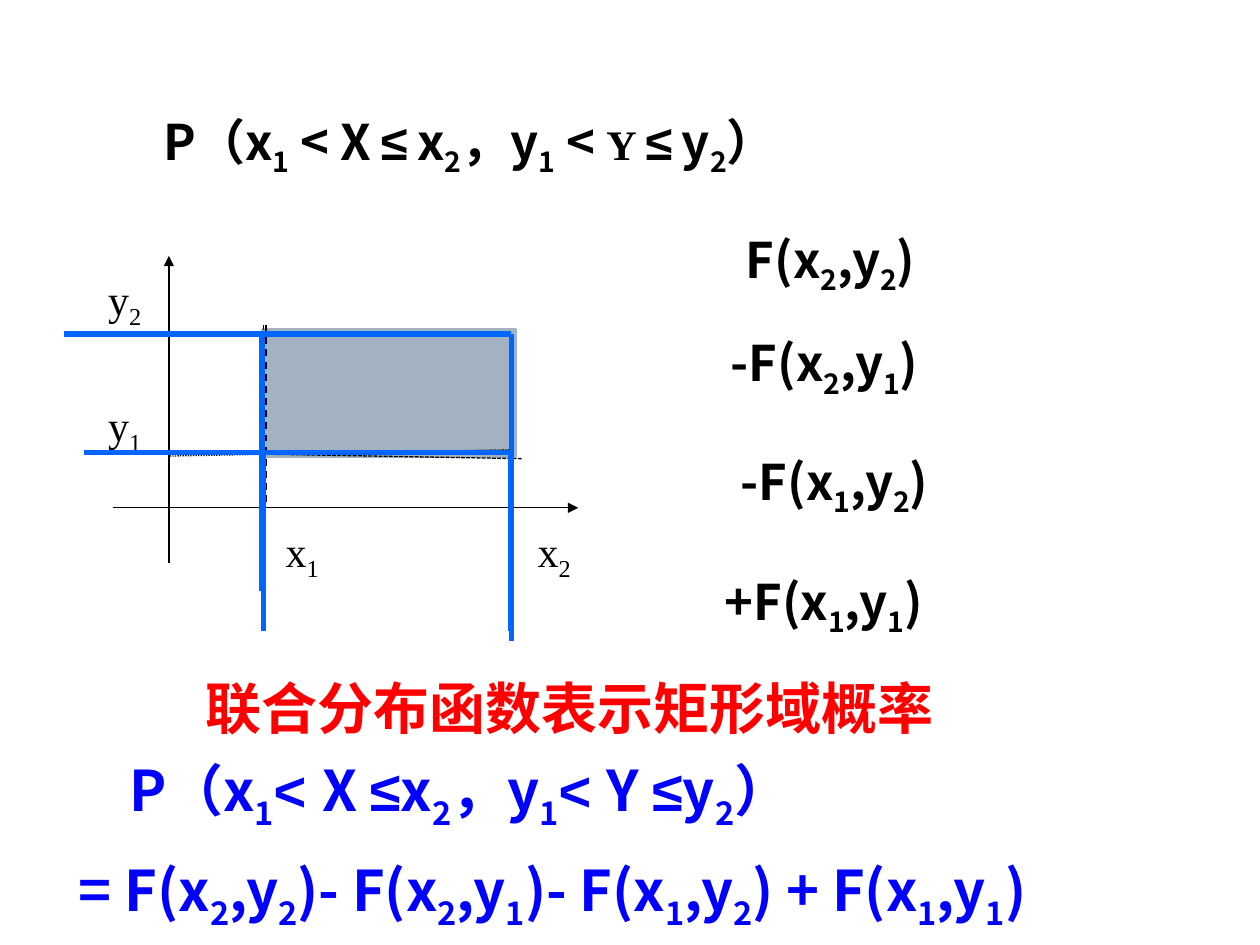
from lxml import etree
from pptx import Presentation
from pptx.dml.color import RGBColor
from pptx.enum.dml import MSO_LINE
from pptx.enum.shapes import MSO_CONNECTOR, MSO_SHAPE
from pptx.enum.text import MSO_ANCHOR, PP_ALIGN
from pptx.oxml.ns import qn
from pptx.util import Pt

STRAIGHT = MSO_CONNECTOR.STRAIGHT
RECTANGLE = MSO_SHAPE.RECTANGLE
DASH, SYSTEM_DASH, SYSTEM_DOT = MSO_LINE.DASH, MSO_LINE.SQUARE_DOT, MSO_LINE.ROUND_DOT
TOP, BOTTOM, LEFT = MSO_ANCHOR.TOP, MSO_ANCHOR.BOTTOM, PP_ALIGN.LEFT

SANS, TITLE_FONT = "Noto Sans CJK SC", "Noto Sans CJK JP"
SERIF, SYMBOL = "Times New Roman", "Arial"
BLACK, WHITE, RED, BLUE = "000000", "FFFFFF", "FF0000", "0000FF"
REGION_BLUE, GREY = "0066FF", "A3B2C1"

# Left end, corner x, corner y and bottom end of each region's boundary
REGIONS = [
    (36.7, 292.3, 190.8, 366.5),
    (48.2, 291.6, 258.5, 360.7),
    (48.2, 149.8, 190.8, 337.7),
    (48.2, 150.5, 258.5, 360.7),
]
AXIS_LABELS = [
    ("x_1", 156.2, 296.6, 41.8),
    ("x_2", 300.2, 296.6, 41.8),
    ("y_1", 54.7, 224.6, 36),
    ("y_2", 54.7, 152.6, 36),
]
TERMS = [
    ("F(x_2,y_2)", 382.3, 128.2, 213),
    ("-F(x_2,y_1)", 373.7, 187.2, 222),
    ("-F(x_1,y_2)", 379.4, 254.9, 222),
    ("+F(x_1,y_1)", 370.1, 323.3, 229),
]
SMALL_SPACE = (" ", SANS, 24)
PROBABILITY = [
    "P（x_1 < X", SMALL_SPACE, ("≤", SYMBOL, 28), SMALL_SPACE, "x_2，y_1 < ",
    ("Y ", SERIF, 24), ("≤", SYMBOL, 28), SMALL_SPACE, "y_2）",
]
RESULT_LEFT_SIDE = [
    "P（x_1", ("< ", SYMBOL, 32), "X ", ("≤", SYMBOL, 32), "x_2，y_1",
    ("< ", SYMBOL, 32), "Y ", ("≤", SYMBOL, 32), "y_2）",
]
RESULT_RIGHT_SIDE = ["= F(x_2,y_2)- F(x_2,y_1)- F(x_1,y_2) + F(x_1,y_1)"]


def color(value):
    return RGBColor.from_string(value)


def add_run(paragraph, text, font_name, size=None, subscript=False):
    run = paragraph.add_run()
    run.text = text
    run.font.name = font_name
    if size:
        run.font.size = Pt(size)
    properties = run.font._element if hasattr(run.font, "_element") else run._r.get_or_add_rPr()
    if subscript:
        properties.set("baseline", "-25000")
    east_asian = etree.SubElement(properties, qn("a:ea"))
    east_asian.set("typeface", font_name)


def write_formula(paragraph, pieces, font_name, size, fill, bold=True):
    """Write pieces, each a text or (text, font, size); "_" lowers the next character."""
    paragraph.alignment = LEFT
    font = paragraph.font
    font.size, font.bold = Pt(size), bold
    font.color.rgb = color(fill)
    for piece in pieces:
        text, name, piece_size = (piece, font_name, size) if isinstance(piece, str) else piece
        first, *lowered = text.split("_")
        if first:
            add_run(paragraph, first, name, piece_size)
        for part in lowered:
            add_run(paragraph, part[0], name, piece_size, subscript=True)
            if part[1:]:
                add_run(paragraph, part[1:], name, piece_size)


def add_formula(slide, pieces, left, top, width):
    box = slide.shapes.add_textbox(Pt(left), Pt(top), Pt(width), Pt(42))
    frame = box.text_frame
    frame.word_wrap = True
    frame.margin_left = Pt(44)
    paragraph = frame.paragraphs[0]
    paragraph.line_spacing = 0.9
    write_formula(paragraph, pieces, SANS, 28, BLACK)


def add_line(shapes, start, end, line_color=BLACK, width=0.75, dash=None, arrow=None):
    """Draw a line; arrow is "headEnd" for its start or "tailEnd" for its end."""
    line = shapes.add_connector(STRAIGHT, *(Pt(value) for value in (*start, *end)))
    line.line.color.rgb = color(line_color)
    line.line.width = Pt(width)
    if dash:
        line.line.dash_style = dash
    if arrow:
        etree.SubElement(line.line._get_or_add_ln(), qn(f"a:{arrow}")).set("type", "triangle")
    etree.SubElement(line._element.spPr, qn("a:effectLst"))


def add_rectangle(shapes, left, top, width, height, fill):
    shape = shapes.add_shape(RECTANGLE, Pt(left), Pt(top), Pt(width), Pt(height))
    shape.shadow.inherit = False
    shape.fill.solid()
    shape.fill.fore_color.rgb = color(fill)
    shape.line.fill.background()
    return shape


def add_axis_label(shapes, text, left, top, width):
    frame = add_rectangle(shapes, left, top, width, 40.3, WHITE).text_frame
    frame.word_wrap = True
    frame.vertical_anchor = TOP
    write_formula(frame.paragraphs[0], [text], SERIF, 24, BLACK, bold=False)


def add_diagram(slide):
    shapes = slide.shapes.add_group_shape().shapes
    add_line(shapes, (96.5, 146.2), (96.5, 321.8), arrow="headEnd")
    add_line(shapes, (64.8, 290.2), (330.5, 290.2), arrow="tailEnd")
    domain = add_rectangle(shapes, 150.5, 188.6, 144, 72, GREY)
    domain.line.color.rgb = color(GREY)
    domain.line.width = Pt(2.25)
    add_line(shapes, (298.1, 262.1), (92.2, 258.5), dash=SYSTEM_DASH)
    add_line(shapes, (150.5, 185.8), (150.5, 288), dash=DASH)
    add_line(shapes, (292.3, 257), (97.2, 260.6), dash=SYSTEM_DOT)
    add_line(shapes, (151.9, 185.8), (151.9, 288), width=1, dash=DASH)
    for label in AXIS_LABELS:
        add_axis_label(shapes, *label)


def add_region(slide, left, corner_x, corner_y, bottom):
    shapes = slide.shapes.add_group_shape().shapes
    corner = (corner_x, corner_y)
    add_line(shapes, (left, corner_y), corner, REGION_BLUE, 3)
    add_line(shapes, corner, (corner_x, bottom), REGION_BLUE, 3)


def add_result(slide):
    box = slide.shapes.add_textbox(Pt(31), Pt(428.4), Pt(666), Pt(108))
    frame = box.text_frame
    frame.word_wrap = True
    lines = [(RESULT_LEFT_SIDE, 36, 1.0), (RESULT_RIGHT_SIDE, 7, 1.3)]
    for index, (pieces, indent, spacing) in enumerate(lines):
        paragraph = frame.add_paragraph() if index else frame.paragraphs[0]
        paragraph.line_spacing = spacing
        paragraph._p.get_or_add_pPr().set("marL", str(Pt(indent)))
        write_formula(paragraph, pieces, SANS, 32, BLUE)


def format_title(slide):
    title = slide.shapes.title
    title.left, title.top, title.width, title.height = Pt(110), Pt(378), Pt(530), Pt(49)
    frame = title.text_frame
    frame.word_wrap = True
    frame.vertical_anchor = BOTTOM
    write_formula(frame.paragraphs[0], ["联合分布函数表示矩形域概率"], TITLE_FONT, 32, RED)


def main():
    presentation = Presentation()
    presentation.slide_width, presentation.slide_height = Pt(720), Pt(540)
    slide = presentation.slides.add_slide(presentation.slide_layouts[5])
    add_diagram(slide)
    add_result(slide)
    format_title(slide)
    add_formula(slide, PROBABILITY, 49.7, 60.5, 569.5)
    for text, left, top, width in TERMS:
        add_formula(slide, [text], left, top, width)
    for region in REGIONS:
        add_region(slide, *region)
    presentation.save("out.pptx")


if __name__ == "__main__":
    main()
